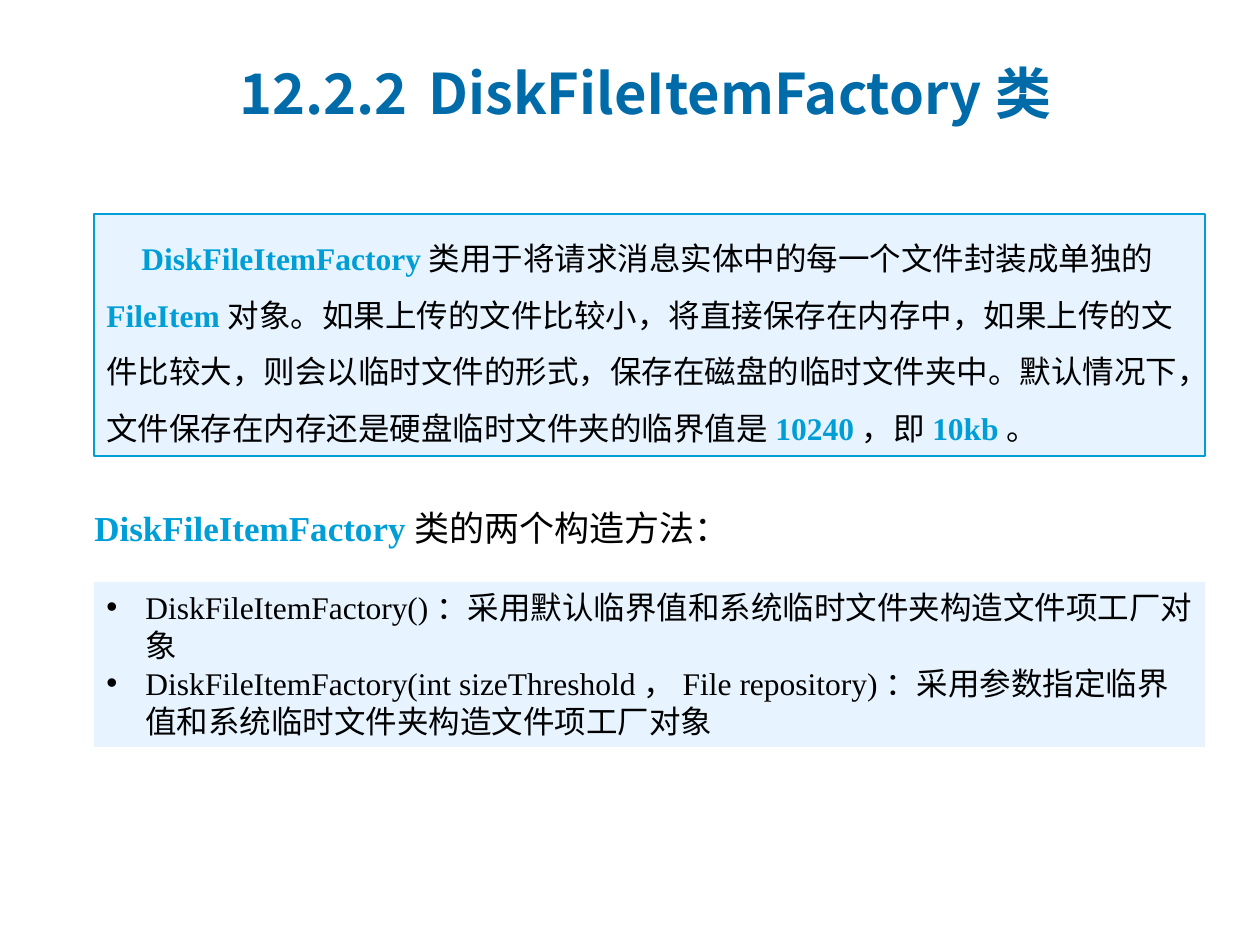
from dataclasses import dataclass
from typing import Optional

from lxml import etree
from pptx import Presentation
from pptx.dml.color import RGBColor
from pptx.enum.shapes import MSO_SHAPE
from pptx.enum.text import MSO_ANCHOR, MSO_AUTO_SIZE, PP_ALIGN
from pptx.oxml.ns import qn
from pptx.util import Emu, Pt

RECTANGLE = MSO_SHAPE.RECTANGLE
TOP, MIDDLE = MSO_ANCHOR.TOP, MSO_ANCHOR.MIDDLE
GROW = MSO_AUTO_SIZE.SHAPE_TO_FIT_TEXT
LEFT = PP_ALIGN.LEFT

SLIDE_W, SLIDE_H = 1260, 945
PANEL_X, PANEL_W = 94, 1111
SERIF, SANS = "Times New Roman", "Noto Sans CJK SC"
BLACK, CYAN, BLUE, PALE = "000000", "009ED6", "006BA9", "E7F4FF"


@dataclass(frozen=True)
class Run:
    text: str
    color: str = BLACK
    bold: bool = False


@dataclass(frozen=True)
class Para:
    runs: list[Run]
    margin: int = 0
    indent: int = 0
    bullet: bool = False
    tab: Optional[int] = None
    spacing: Optional[float] = None


@dataclass(frozen=True)
class Block:
    x: int
    y: int
    w: int
    h: int
    size: int
    paras: list[Para]
    font: str = SERIF
    fill: Optional[str] = None
    line: Optional[str] = None
    anchor: MSO_ANCHOR = TOP


def key(text: str) -> Run:
    """Highlighted term."""
    return Run(text, CYAN, True)


def px(n: int) -> Emu:
    return Emu(round(n * 914400 / 126))


def rgb(color: str) -> RGBColor:
    return RGBColor.from_string(color)


def format_para(p, para: Para) -> None:
    p.alignment = LEFT
    if para.spacing:
        p.line_spacing = para.spacing
    pPr = p._p.get_or_add_pPr()
    pPr.set("marL", str(px(para.margin)))
    pPr.set("indent", str(px(para.indent)))
    if para.bullet:
        etree.SubElement(pPr, qn("a:buFont"), typeface="Arial")
        etree.SubElement(pPr, qn("a:buChar"), char="•")
    if para.tab:
        tabs = etree.SubElement(pPr, qn("a:tabLst"))
        etree.SubElement(tabs, qn("a:tab"), pos=str(px(para.tab)), algn="l")


def add_run(p, run: Run, font: str, size: int) -> None:
    r = p.add_run()
    r.text = run.text
    r.font.name = font
    r.font.size = Pt(size)
    r.font.bold = run.bold
    r.font.color.rgb = rgb(run.color)
    etree.SubElement(r._r.get_or_add_rPr(), qn("a:ea"), typeface=SANS)


def add_block(slide, block: Block) -> None:
    box = [px(n) for n in (block.x, block.y, block.w, block.h)]
    if block.fill:
        sp = slide.shapes.add_shape(RECTANGLE, *box)
        sp.shadow.inherit = False
        sp.fill.solid()
        sp.fill.fore_color.rgb = rgb(block.fill)
        if block.line:
            sp.line.color.rgb = rgb(block.line)
            sp.line.width = Pt(1.25)
        else:
            sp.line.fill.background()
    else:
        sp = slide.shapes.add_textbox(*box)
    tf = sp.text_frame
    tf.word_wrap = True
    tf.vertical_anchor = block.anchor
    if block.anchor == TOP:
        tf.auto_size = GROW
    for i, para in enumerate(block.paras):
        p = tf.add_paragraph() if i else tf.paragraphs[0]
        format_para(p, para)
        for run in para.runs:
            add_run(p, run, block.font, block.size)


BLOCKS = [
    Block(227, 54, 949, 77, 32, [
        Para([Run("12.2.2\tDiskFileItemFactory类", BLUE, True)], tab=191),
    ], font=SANS, anchor=MIDDLE),
    Block(PANEL_X, 214, PANEL_W, 242, 18, [
        Para([
            key("DiskFileItemFactory"),
            Run("类用于将请求消息实体中的每一个文件封装成单独的"),
            key("FileItem"),
            Run("对象。如果上传的文件比较小，将直接保存在内存中，如果上传的文件比较大，"
                "则会以临时文件的形式，保存在磁盘的临时文件夹中。默认情况下，"
                "文件保存在内存还是硬盘临时文件夹的临界值是"),
            key("10240"),
            Run("，即"),
            key("10kb"),
            Run("。"),
        ], indent=35, spacing=1.5),
    ], fill=PALE, line=CYAN),
    Block(82, 500, 679, 55, 20, [
        Para([key("DiskFileItemFactory"), Run("类的两个构造方法：")]),
    ]),
    Block(PANEL_X, 582, PANEL_W, 165, 18, [
        Para([Run(text)], margin=39, indent=-39, bullet=True)
        for text in (
            "DiskFileItemFactory()：采用默认临界值和系统临时文件夹构造文件项工厂对象",
            "DiskFileItemFactory(int sizeThreshold，File repository)："
            "采用参数指定临界值和系统临时文件夹构造文件项工厂对象",
        )
    ], fill=PALE),
]


def main() -> None:
    prs = Presentation()
    prs.slide_width, prs.slide_height = px(SLIDE_W), px(SLIDE_H)
    slide = prs.slides.add_slide(prs.slide_layouts[6])
    for block in BLOCKS:
        add_block(slide, block)
    prs.save("out.pptx")


if __name__ == "__main__":
    main()
